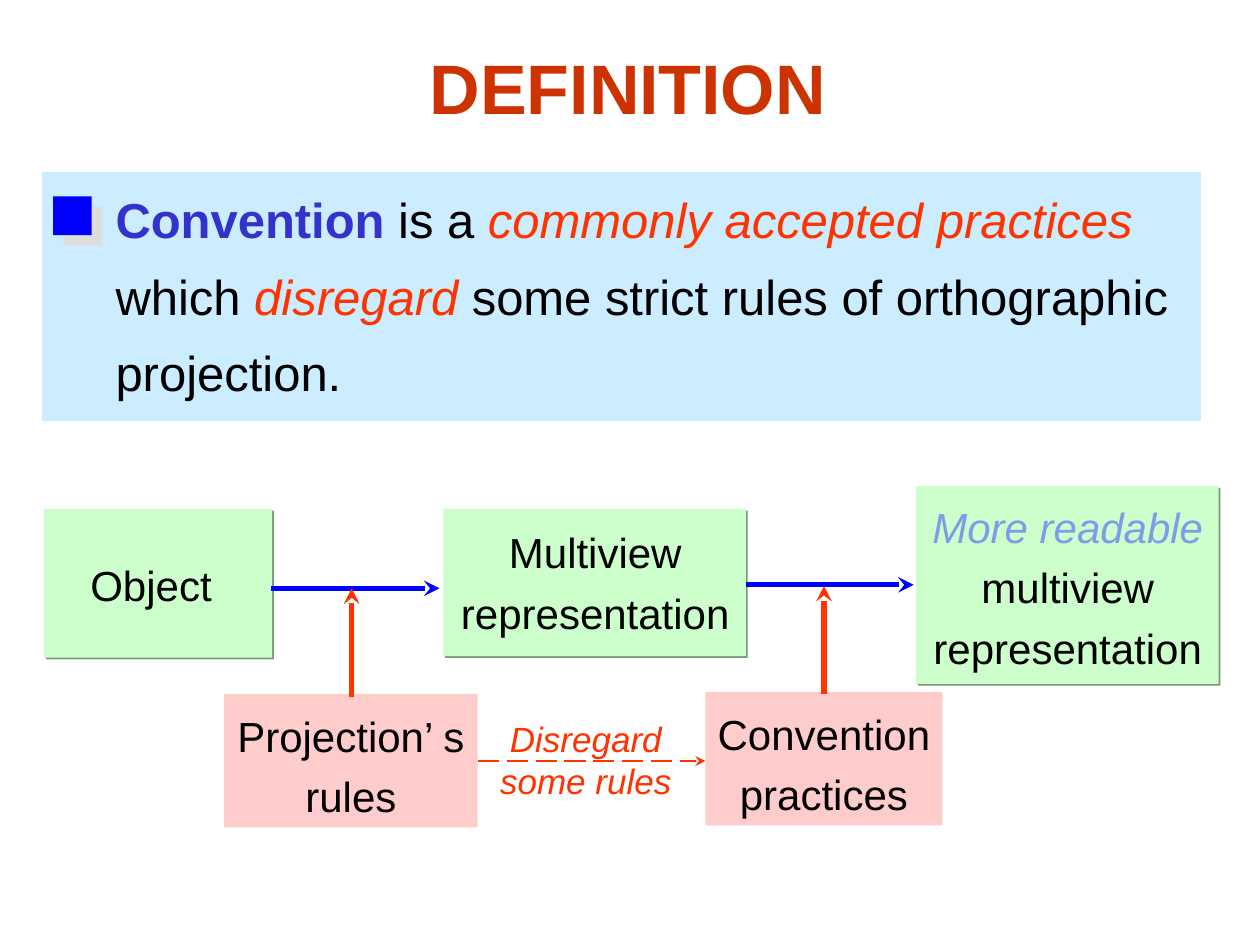
from lxml.etree import SubElement
from pptx import Presentation
from pptx.dml.color import RGBColor
from pptx.enum.dml import MSO_LINE
from pptx.enum.shapes import MSO_CONNECTOR, MSO_SHAPE
from pptx.enum.text import MSO_ANCHOR, PP_ALIGN
from pptx.oxml.ns import qn
from pptx.util import Cm, Pt

C = {"title": "CC3300", "panel": "CCECFF", "white": "FFFFFF", "term": "3333CC",
     "black": "000000", "red": "FF3300", "blue": "0000FF", "green": "CCFFCC",
     "pink": "FFCCCC", "soft": "7E9CE8", "grey": "DDDDDD", "shade": "799879"}

# Content: each paragraph is a list of (text, format) runs
RED = {"color": "red", "italic": True}
DEFINITION = [[("Convention", {"color": "term", "bold": True}), (" is a ", {}),
               ("commonly accepted practices", RED), (" which ", {}),
               ("disregard ", RED),
               ("some strict rules of orthographic projection.", {})]]

# Boxes in cm: left, top, width, height
STAGES = [
    ((0.89, 10.26, 4.6, 3.0), (1.57, 10.95, 2.95, 1.47), [[("Object", {})]]),
    ((8.94, 10.26, 6.1, 2.97), (9.04, 10.29, 5.92, 2.69),
     [[("Multiview", {})], [("representation", {})]]),
    ((18.47, 9.8, 6.1, 3.99), (18.54, 9.78, 5.97, 3.91),
     [[("More readable", {"color": "soft", "italic": True})],
      [("multiview", {})], [("representation", {})]]),
]
RULES = [
    ((4.52, 13.99, 5.11, 2.69), [[("Projection’ s", {})], [("rules", {})]]),
    ((14.22, 13.95, 4.78, 2.69), [[("Convention", {})], [("practices", {})]]),
]
DISREGARD = [[("Disregard", RED)], [("some rules", RED)]]

# Flow arrows: start x, end x, y; each is drawn in two halves
FLOWS = [(5.46, 8.86, 11.86), (15.04, 18.42, 11.79)]
# Rule arrows pointing up to the flow: x, start y, end y
UPS = [(7.09, 14.05, 11.86), (16.61, 14.0, 11.81)]


def rgb(name):
    return RGBColor.from_string(C[name])


def write(tf, paras, size=24, color="black", align=PP_ALIGN.CENTER, spacing=1.2,
          wrap=False, anchor=MSO_ANCHOR.TOP, bold=False):
    tf.word_wrap = wrap
    tf.vertical_anchor = anchor
    for i, runs in enumerate(paras):
        p = tf.paragraphs[0] if i == 0 else tf.add_paragraph()
        p.alignment = align
        p.line_spacing = spacing
        for text, fmt in runs:
            r = p.add_run()
            r.text = text
            r.font.name = "Arial"
            r.font.size = Pt(size)
            r.font.bold = fmt.get("bold", bold)
            r.font.italic = fmt.get("italic", False)
            r.font.color.rgb = rgb(fmt.get("color", color))


def add_text(box, paras, **fmt):
    sp = slide.shapes.add_textbox(*map(Cm, box))
    write(sp.text_frame, paras, **fmt)


def add_rect(box, fill, line=None, shadow=None, dist=0):
    sp = slide.shapes.add_shape(MSO_SHAPE.RECTANGLE, *map(Cm, box))
    sp.fill.solid()
    sp.fill.fore_color.rgb = rgb(fill)
    if line:
        sp.line.color.rgb = rgb(line)
        sp.line.width = Pt(0.75)
    else:
        sp.line.fill.background()
    sp.shadow.inherit = False
    if shadow:
        effects = sp._element.spPr.find(qn("a:effectLst"))
        outer = SubElement(effects, qn("a:outerShdw"), dist=str(Pt(dist)),
                           dir="2700000", algn="ctr", rotWithShape="0")
        SubElement(outer, qn("a:srgbClr"), val=C[shadow])
    return sp


def add_line(x1, y1, x2, y2, color, width=3, arrow=True, dash=None):
    ln = slide.shapes.add_connector(MSO_CONNECTOR.STRAIGHT, *map(Cm, (x1, y1, x2, y2)))
    ln.line.color.rgb = rgb(color)
    ln.line.width = Pt(width)
    if dash:
        ln.line.dash_style = dash
    if arrow:
        SubElement(ln.line._get_or_add_ln(), qn("a:tailEnd"), type="stealth")
    SubElement(ln._element.spPr, qn("a:effectLst"))


prs = Presentation()
prs.slide_width, prs.slide_height = Cm(25.4), Cm(19.05)
slide = prs.slides.add_slide(prs.slide_layouts[5])

# Title
title = slide.shapes.title
title.left, title.top, title.width, title.height = map(Cm, (2.18, 0.43, 20.96, 2.29))
write(title.text_frame, [[("DEFINITION", {})]], size=40, color="title", bold=True,
      spacing=1.0, wrap=True, anchor=MSO_ANCHOR.BOTTOM)

# Definition panel with its square marker
add_rect((0.84, 3.45, 23.39, 5.05), "panel", line="white")
add_text((2.08, 3.35, 22.48, 4.88), DEFINITION, size=28, align=PP_ALIGN.LEFT,
         spacing=1.3, wrap=True)
add_rect((1.07, 3.96, 0.78, 0.78), "blue", shadow="grey", dist=8.5)

# Stages and the rules applied between them
for box, label_box, label in STAGES:
    add_rect(box, "green", shadow="shade", dist=1.4)
    add_text(label_box, label)
for box, label in RULES:
    write(add_rect(box, "pink").text_frame, label)

# Arrows
for x1, x2, y in FLOWS:
    mid = (x1 + x2) / 2
    add_line(x1, y, mid, y, "blue", arrow=False)
    add_line(mid, y, x2, y, "blue")
for x, y1, y2 in UPS:
    add_line(x, y1, x, y2, "red")

# Dashed link between the rules
add_line(9.63, 15.34, 14.22, 15.34, "red", width=1.5, dash=MSO_LINE.LONG_DASH)
add_text((9.83, 14.33, 3.96, 1.96), DISREGARD, size=20, spacing=1.0)

prs.save("out.pptx")
